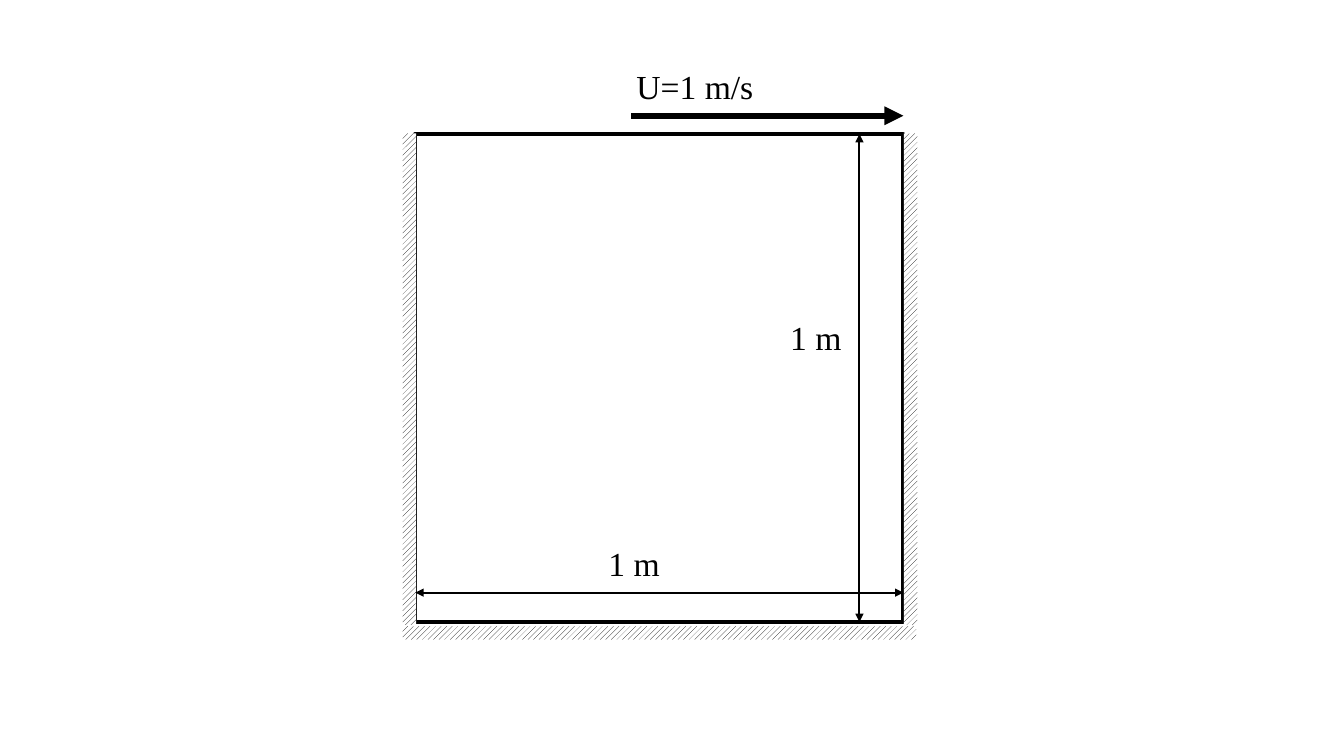
from lxml.etree import SubElement
from pptx import Presentation
from pptx.dml.color import RGBColor
from pptx.enum.dml import MSO_PATTERN
from pptx.enum.shapes import MSO_CONNECTOR, MSO_SHAPE
from pptx.enum.text import MSO_AUTO_SIZE
from pptx.oxml.ns import qn
from pptx.util import Inches, Pt

BLACK = RGBColor(0, 0, 0)
WHITE = RGBColor(255, 255, 255)
FONT = "Times New Roman"

# Grid: origin at the cavity's top left corner, 40 cells to its side
LEFT, TOP, CELL = Inches(4.12), Inches(1.33), Inches(0.121)
SIDE = 40
WALL = 1.1


def grid_x(column):
    return int(LEFT + column * CELL)


def grid_y(row):
    return int(TOP + row * CELL)


def size(cells):
    return int(cells * CELL)


def add_rectangle(diagram, column, row, width, height):
    rectangle = diagram.shapes.add_shape(
        MSO_SHAPE.RECTANGLE, grid_x(column), grid_y(row), size(width), size(height))
    rectangle.shadow.inherit = False
    return rectangle


def add_cavity(diagram):
    cavity = add_rectangle(diagram, 0, 0, SIDE, SIDE)
    cavity.fill.background()
    cavity.line.color.rgb = BLACK
    cavity.line.width = Pt(3)


def add_wall(diagram, center_column, center_row, length, rotation):
    wall = add_rectangle(diagram, center_column - length / 2,
                         center_row - WALL / 2, length, WALL)
    wall.rotation = rotation
    wall.fill.patterned()
    wall.fill.pattern = MSO_PATTERN.WIDE_UPWARD_DIAGONAL
    wall.fill.fore_color.rgb = BLACK
    wall.fill.back_color.rgb = WHITE
    wall.line.fill.background()


def add_arrow(diagram, start, end, width, both_ends=True):
    arrow = diagram.shapes.add_connector(
        MSO_CONNECTOR.STRAIGHT, grid_x(start[0]), grid_y(start[1]),
        grid_x(end[0]), grid_y(end[1]))
    arrow.line.color.rgb = BLACK
    arrow.line.width = Pt(width)
    outline = arrow.line._get_or_add_ln()
    for tip in ("a:headEnd", "a:tailEnd") if both_ends else ("a:tailEnd",):
        SubElement(outline, qn(tip), type="triangle")
    SubElement(arrow._element.spPr, qn("a:effectLst"))


def add_label(diagram, text, column, row, width):
    label = diagram.shapes.add_textbox(
        grid_x(column), grid_y(row), size(width), size(4.15))
    frame = label.text_frame
    frame.word_wrap = False
    frame.auto_size = MSO_AUTO_SIZE.SHAPE_TO_FIT_TEXT
    run = frame.paragraphs[0].add_run()
    run.text = text
    run.font.name = FONT
    run.font.size = Pt(24)
    run.font.color.rgb = BLACK


def main():
    deck = Presentation()
    deck.slide_width, deck.slide_height = Inches(13.33), Inches(7.5)
    slide = deck.slides.add_slide(deck.slide_layouts[6])
    diagram = slide.shapes.add_group_shape()

    # Cavity with its three fixed walls: left, bottom, right
    add_cavity(diagram)
    add_wall(diagram, -0.5, SIDE / 2 + 0.1, 40.3, 90)
    add_wall(diagram, SIDE / 2, SIDE + 0.9, 42.1, 180)
    add_wall(diagram, SIDE + 0.6, SIDE / 2 + 0.1, 40.3, 270)

    # Lid velocity and the two dimensions
    add_arrow(diagram, (17.7, -1.5), (SIDE, -1.5), 4.5, both_ends=False)
    add_arrow(diagram, (36.4, 0), (36.4, SIDE), 1.5)
    add_arrow(diagram, (SIDE, 37.6), (0, 37.6), 1.5)

    # Labels
    add_label(diagram, "U=1 m/s", 17.3, -6, 11.6)
    add_label(diagram, "1 m", 29.9, 14.6, 6.4)
    add_label(diagram, "1 m", 15, 33.1, 6.4)

    deck.save("out.pptx")


if __name__ == "__main__":
    main()
